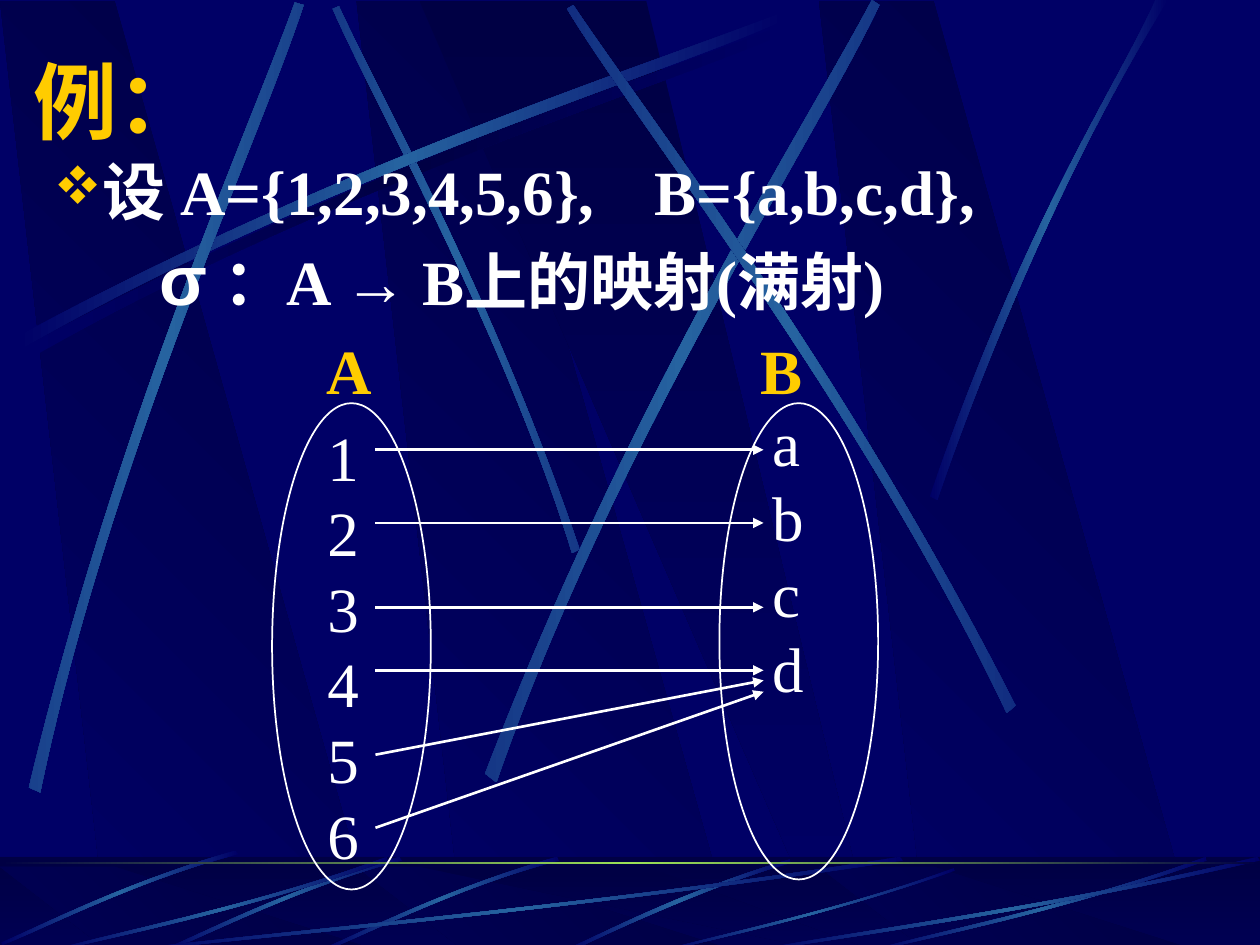
from dataclasses import dataclass
from math import cos, radians, sin

from lxml.etree import SubElement
from pptx import Presentation
from pptx.dml.color import RGBColor
from pptx.enum.shapes import MSO_CONNECTOR, MSO_SHAPE
from pptx.enum.text import MSO_ANCHOR, PP_ALIGN
from pptx.oxml.ns import qn
from pptx.util import Inches, Pt

Point = tuple[float, float]


@dataclass(frozen=True)
class Theme:
    night: str = "000066"
    shade: str = "000044"
    beam: str = "2663A0"
    horizon: str = "9CE157"
    gold: str = "FFCC00"
    white: str = "FFFFFF"
    serif: str = "Times New Roman"
    sans: str = "Arial"
    heading: str = "Montserrat"
    title_size: int = 48
    sigma_size: int = 40
    body_size: int = 36


@dataclass(frozen=True)
class Streak:
    """A light beam: one curve out (4 points), one curve back (4 points)."""
    outline: tuple[Point, ...]
    angle: float = 0


@dataclass(frozen=True)
class Label:
    lines: tuple[str, ...]
    left: float
    top: float
    width: float
    height: float
    color: str
    bold: bool = False


THEME = Theme()
SHADE = (THEME.shade, THEME.night)
GLOW = (THEME.night, THEME.beam, THEME.night)
SHADOW = (THEME.night, THEME.shade, THEME.night)
HORIZON = (THEME.shade, THEME.horizon, THEME.shade)

LONG_BEAM = Streak(((.14, 2.67), (2.78, 1.25), (5.18, .51), (6.2, .1),
                    (6.23, .16), (5.22, .61), (2.48, 1.43), (.17, 2.77)))
BEAM_SHADOW = Streak(tuple((x + .06, y + .08) for x, y in LONG_BEAM.outline))
SKY_STREAKS = (
    Streak(((4.6, 4.36), (3.91, 2.34), (3.02, .77), (2.69, .05),
            (2.64, .07), (2.95, .79), (3.98, 2.58), (4.54, 4.39)), 45),
    LONG_BEAM,
    Streak(((.23, 6.25), (.93, 3.34), (1.97, 1.05), (2.34, .02),
            (2.41, .04), (2.07, 1.09), (.86, 3.68), (.32, 6.29)), 311.7),
    Streak(((3.85, 6.14), (4.98, 3.2), (6.38, 1.02), (6.92, 0),
            (6.98, .04), (6.49, 1.08), (4.86, 3.55), (3.94, 6.21)), 321.6),
    Streak(((8.06, 5.6), (6.7, 2.93), (5.16, .95), (4.55, .04),
            (4.5, .07), (5.07, 1.01), (6.85, 3.25), (7.99, 5.66)), 34.8),
    Streak(((7.38, 3.94), (8.14, 1.73), (8.88, .66), (9.17, 0),
            (9.27, 0), (8.36, 1.45), (7.69, 3.22), (7.44, 3.97))),
)
SHORT_FLOOR = ((3.17, 6.8), (2.3, 7.05), (1.62, 7.4), (1.31, 7.53),
               (1.32, 7.55), (1.63, 7.43), (2.4, 7.03), (3.19, 6.83))
WIDE_FLOOR = ((3.08, 6.83), (1.93, 7.23), (.88, 7.44), (.43, 7.55),
              (.42, 7.54), (.86, 7.41), (2.06, 7.18), (3.07, 6.8))
FLOOR_STREAKS = (
    Streak(((6.27, 6.82), (5.37, 7.09), (4.77, 7.42), (4.48, 7.54),
            (4.53, 7.55), (4.9, 7.37), (5.71, 7), (6.28, 6.85))),
    *(Streak(tuple((x + dx, y + dy) for x, y in SHORT_FLOOR), 314.9)
      for dx, dy in ((1.25, 0), (0, 0), (-1.3, -.05))),
    Streak(((7.17, 6.83), (4.49, 7.23), (2.06, 7.44), (1.03, 7.55),
            (1, 7.54), (2.02, 7.41), (4.8, 7.18), (7.14, 6.8))),
    Streak(WIDE_FLOOR),
    Streak(((7.58, 6.91), (6.58, 7.26), (5.67, 7.45), (5.28, 7.55),
            (5.27, 7.54), (5.65, 7.43), (6.69, 7.22), (7.57, 6.89))),
    Streak(tuple((x + 6.5, y) for x, y in WIDE_FLOOR)),
    Streak(((10, 6.83), (8.27, 7.23), (6.69, 7.44), (6.02, 7.55),
            (6, 7.54), (6.66, 7.41), (8.46, 7.18), (9.98, 6.8))),
)

LABELS = (
    Label(tuple("123456"), 2.5, 3.27, .45, 3.7, THEME.white),
    Label(tuple("abcd"), 6.03, 3.15, .45, 2.5, THEME.white),
    Label(("A",), 2.49, 2.58, .56, .7, THEME.gold, True),
    Label(("B",), 5.94, 2.58, .53, .7, THEME.gold, True),
)
MAPPING_HEIGHTS = ((3.57, 3.57), (4.15, 4.15), (4.82, 4.82),
                   (5.32, 5.32), (5.99, 5.4), (6.57, 5.49))


def rgb(color: str) -> RGBColor:
    return RGBColor.from_string(color)


def rotate(point: Point, degrees: float) -> Point:
    x, y = point
    c, s = cos(radians(degrees)), sin(radians(degrees))
    return x * c - y * s, x * s + y * c


def paint_gradient(shape, colors: tuple[str, ...], angle: int) -> None:
    shape.shadow.inherit = False
    shape.line.fill.background()
    shape.fill.gradient()
    gradient = shape.fill._xPr.find(qn("a:gradFill"))
    gradient.set("rotWithShape", "0")
    stops = gradient.find(qn("a:gsLst"))
    for stop in list(stops):
        stops.remove(stop)
    for i, color in enumerate(colors):
        stop = SubElement(stops, qn("a:gs"), pos=str(100000 * i // (len(colors) - 1)))
        SubElement(stop, qn("a:srgbClr"), val=color)
    gradient.find(qn("a:lin")).set("ang", str(angle * 60000))


def add_polygon(slide, points: list[Point], colors: tuple[str, ...], angle: int):
    corners = [(Inches(x), Inches(y)) for x, y in points]
    builder = slide.shapes.build_freeform(*corners[0], scale=1.0)
    builder.add_line_segments(corners[1:], close=True)
    polygon = builder.convert_to_shape()
    paint_gradient(polygon, colors, angle)
    return polygon


def bend_sides(polygon) -> None:
    """Turn each long side's three line segments into one cubic curve."""
    segments = list(polygon._element.iter(qn("a:lnTo")))
    for side in (segments[:3], segments[4:7]):
        curve = side[0].makeelement(qn("a:cubicBezTo"))
        side[0].addprevious(curve)
        for segment in side:
            curve.append(segment[0])
            segment.getparent().remove(segment)


def add_streak(slide, streak: Streak, colors: tuple[str, ...] = GLOW) -> None:
    """Draw the beam level, then turn it about its centre."""
    level = [rotate(p, -streak.angle) for p in streak.outline]
    beam = add_polygon(slide, level, colors, 180)
    bend_sides(beam)
    center = rotate((beam.left + beam.width / 2, beam.top + beam.height / 2), streak.angle)
    beam.left = round(center[0] - beam.width / 2)
    beam.top = round(center[1] - beam.height / 2)
    beam.rotation = streak.angle


def add_wedges(slide, top: float, bottom: float) -> None:
    for x in (2.83, 0, 6.5):
        add_polygon(slide, [(x + .86, bottom), (x + 3.02, bottom), (x + .91, top), (x, top)],
                    SHADE, 135)
    add_polygon(slide, [(3.33, top), (6.58, bottom), (6.94, bottom), (5.13, top)], SHADE, 90)


def add_band(slide, top: float, height: float):
    return slide.shapes.add_shape(MSO_SHAPE.RECTANGLE, 0, Inches(top), Inches(10), Inches(height))


def add_backdrop(slide) -> None:
    slide.background.fill.solid()
    slide.background.fill.fore_color.rgb = rgb(THEME.night)
    add_wedges(slide, .01, 7.52)
    add_streak(slide, BEAM_SHADOW, SHADOW)
    for streak in SKY_STREAKS:
        add_streak(slide, streak)
    paint_gradient(add_band(slide, 6.8, .75), SHADE, 90)
    add_wedges(slide, 6.88, 7.55)
    veil = add_band(slide, 6.8, .75)
    veil.shadow.inherit = False
    veil.line.fill.background()
    veil.fill.solid()
    veil.fill.fore_color.rgb = rgb(THEME.shade)
    SubElement(veil.fill._xPr.find(qn("a:solidFill"))[0], qn("a:alpha"), val="50000")
    for streak in FLOOR_STREAKS:
        add_streak(slide, streak)
    paint_gradient(add_band(slide, 6.84, .02), HORIZON, 180)


def add_frame(slide, left: float, top: float, width: float, height: float, wrap: bool = True):
    frame = slide.shapes.add_textbox(Inches(left), Inches(top), Inches(width),
                                     Inches(height)).text_frame
    frame.word_wrap = wrap
    return frame


def style(font, name: str, size: int, color: str, bold: bool) -> None:
    font.name, font.size, font.bold = name, Pt(size), bold
    font.color.rgb = rgb(color)


def add_label(slide, label: Label) -> None:
    frame = add_frame(slide, label.left, label.top, label.width, label.height, wrap=False)
    for i, line in enumerate(label.lines):
        paragraph = frame.add_paragraph() if i else frame.paragraphs[0]
        paragraph.text = line
        style(paragraph.font, THEME.serif, THEME.body_size, label.color, label.bold)


def add_statement(slide) -> None:
    frame = add_frame(slide, .2, 1.23, 9.47, 1.5)
    sets, mapping = frame.paragraphs[0], frame.add_paragraph()
    sets.text = "设 A={1,2,3,4,5,6},\tB={a,b,c,d},"
    properties = sets._p.get_or_add_pPr()
    properties.set("marL", str(Inches(.49)))
    properties.set("indent", str(Inches(-.36)))
    SubElement(SubElement(properties, qn("a:buClr")), qn("a:srgbClr"), val=THEME.gold)
    SubElement(properties, qn("a:buSzPct"), val="85000")
    SubElement(properties, qn("a:buFont"), typeface="Wingdings", charset="2")
    SubElement(properties, qn("a:buChar"), char="v")
    SubElement(SubElement(properties, qn("a:tabLst")), qn("a:tab"), pos=str(Inches(4.9)), algn="l")
    style(sets.font, THEME.serif, THEME.body_size, THEME.white, True)

    mapping._p.get_or_add_pPr().set("marL", str(Inches(.97)))
    mapping.space_before = Pt(9)
    for text, font_name, size in (("σ", THEME.sans, THEME.sigma_size),
                                  (" ：A ", THEME.serif, THEME.body_size),
                                  ("→", THEME.sans, THEME.body_size),
                                  (" B上的映射(满射)", THEME.serif, THEME.body_size)):
        run = mapping.add_run()
        run.text = text
        style(run.font, font_name, size, THEME.white, True)
    for paragraph in (sets, mapping):
        paragraph.alignment = PP_ALIGN.JUSTIFY
        paragraph.line_spacing = .9


def add_title(slide) -> None:
    frame = add_frame(slide, .17, .34, 8.5, .9)
    frame.vertical_anchor = MSO_ANCHOR.MIDDLE
    frame.text = "例："
    style(frame.paragraphs[0].font, THEME.heading, THEME.title_size, THEME.gold, True)


def add_arrow(slide, start_y: float, end_y: float) -> None:
    arrow = slide.shapes.add_connector(MSO_CONNECTOR.STRAIGHT, Inches(2.98), Inches(start_y),
                                       Inches(6.06), Inches(end_y))
    arrow.line.color.rgb = rgb(THEME.white)
    arrow.line.width = Pt(1.5)
    SubElement(arrow.line._get_or_add_ln(), qn("a:tailEnd"), type="triangle")
    SubElement(arrow._element.spPr, qn("a:effectLst"))


def add_set_outline(slide, left: float, height: float) -> None:
    oval = slide.shapes.add_shape(MSO_SHAPE.OVAL, Inches(left), Inches(3.2),
                                  Inches(1.26), Inches(height))
    oval.shadow.inherit = False
    oval.fill.background()
    oval.line.color.rgb = rgb(THEME.white)
    oval.line.width = Pt(1)


def main() -> None:
    deck = Presentation()
    deck.slide_width, deck.slide_height = Inches(10), Inches(7.5)
    slide = deck.slides.add_slide(deck.slide_layouts[6])
    add_backdrop(slide)
    add_statement(slide)
    add_title(slide)
    for label in LABELS:
        add_label(slide, label)
    for start_y, end_y in MAPPING_HEIGHTS:
        add_arrow(slide, start_y, end_y)
    add_set_outline(slide, 2.16, 3.86)
    add_set_outline(slide, 5.71, 3.78)
    deck.save("out.pptx")


if __name__ == "__main__":
    main()
